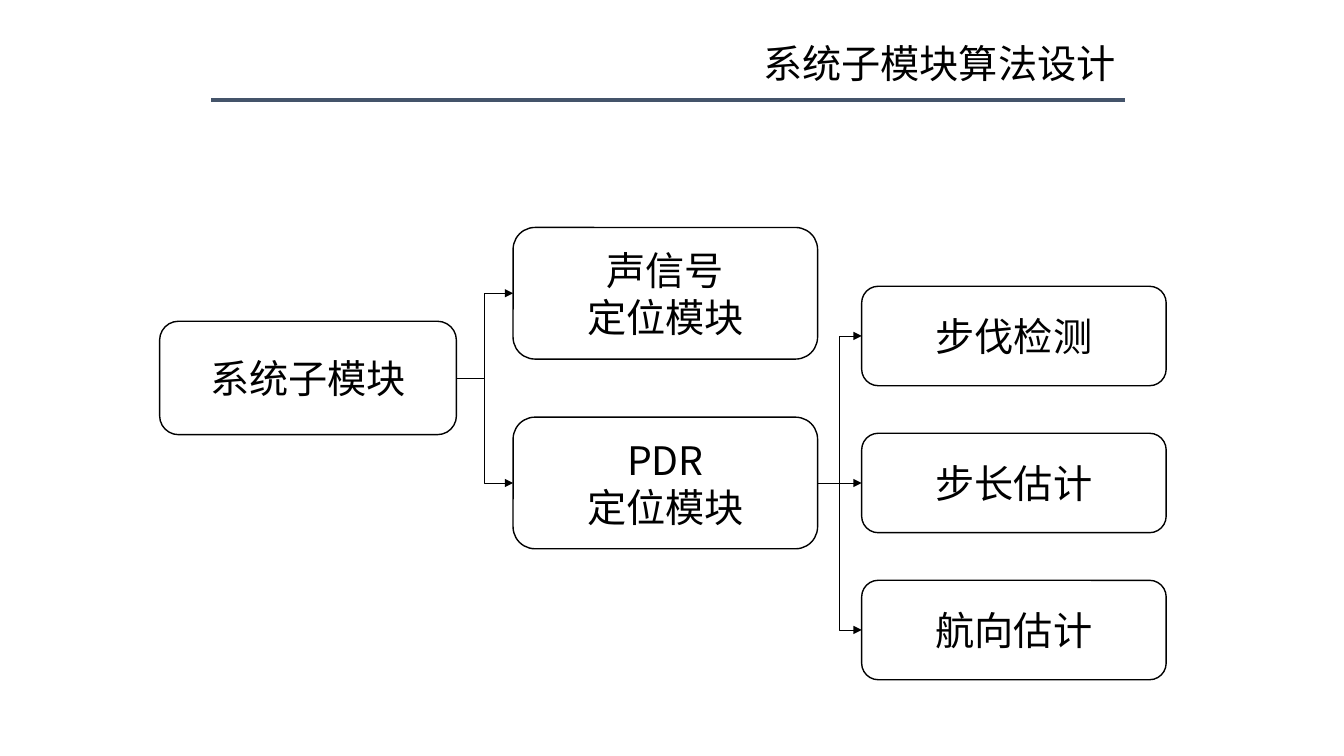
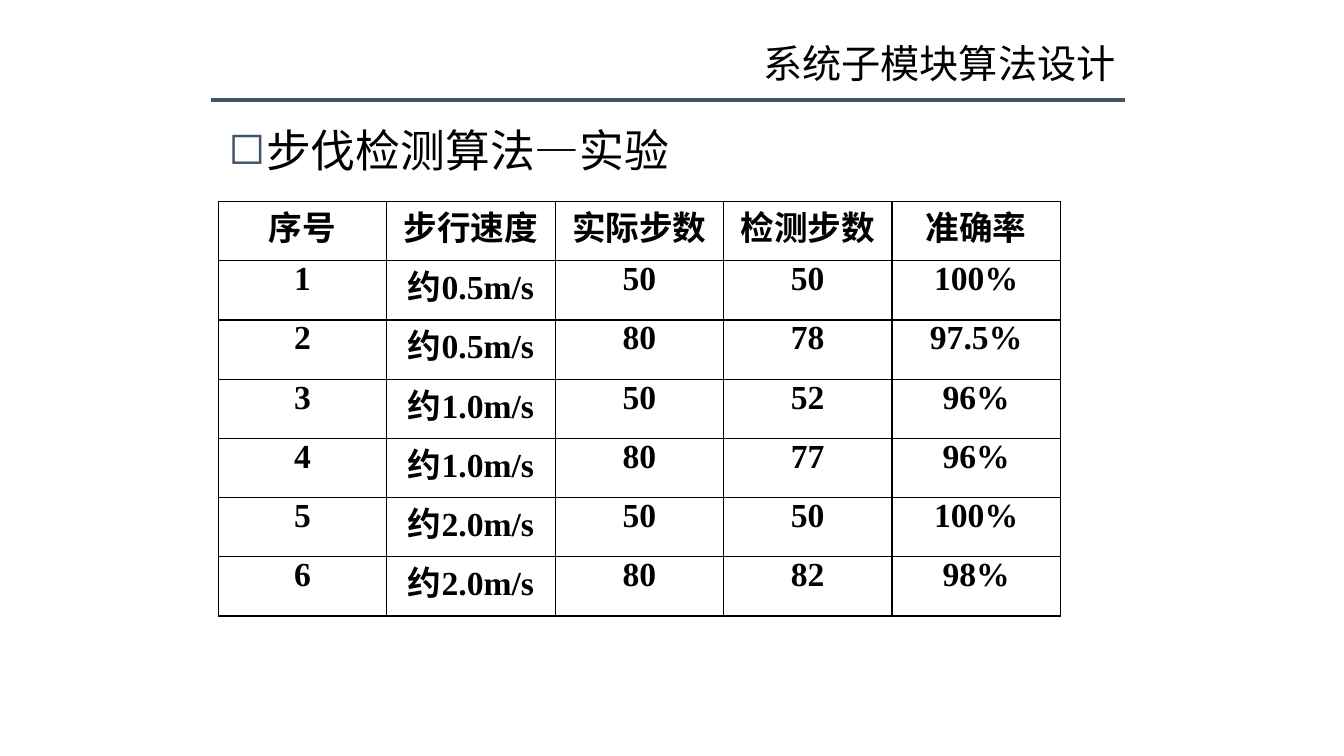
"""Build two slides on the design of the system's submodules."""
from lxml import etree
from pptx import Presentation
from pptx.dml.color import RGBColor
from pptx.enum import shapes, text
from pptx.oxml import ns
from pptx.util import Pt

BLACK = RGBColor(0x00, 0x00, 0x00)
WHITE = RGBColor(0xFF, 0xFF, 0xFF)
SLATE = RGBColor(0x44, 0x54, 0x6A)
SANS = "Noto Sans CJK SC"
SERIF = "Times New Roman"
TITLE = "系统子模块算法设计"
LEFT, RIGHT = 1, 3

RESULTS = [
    ("序号", "步行速度", "实际步数", "检测步数", "准确率"),
    ("1", "约0.5m/s", "50", "50", "100%"),
    ("2", "约0.5m/s", "80", "78", "97.5%"),
    ("3", "约1.0m/s", "50", "52", "96%"),
    ("4", "约1.0m/s", "80", "77", "96%"),
    ("5", "约2.0m/s", "50", "50", "100%"),
    ("6", "约2.0m/s", "80", "82", "98%"),
]


def add_child(parent, tag, **attributes):
    """Append a DrawingML element to parent and return it."""
    return etree.SubElement(parent, ns.qn(tag), attributes)


def write(frame, words, size=28, font=SANS, bold=False, align=text.PP_ALIGN.CENTER,
          anchor=text.MSO_ANCHOR.TOP, spacing=None, before=None, after=None):
    """Fill a text frame, one paragraph for each line of words."""
    frame.word_wrap = True
    frame.vertical_anchor = anchor
    for index, line in enumerate(words.split("\n")):
        paragraph = frame.add_paragraph() if index else frame.paragraphs[0]
        paragraph.alignment = align
        paragraph.line_spacing = spacing
        paragraph.space_before = before
        paragraph.space_after = after
        run = paragraph.add_run()
        run.text = line
        run.font.size = Pt(size)
        run.font.bold = bold
        run.font.name = font
        run.font.color.rgb = BLACK
        add_child(run._r.get_or_add_rPr(), "a:ea", typeface=SANS)


def add_line(slide, start, end, color, width, kind=shapes.MSO_CONNECTOR.STRAIGHT):
    """Draw a connector without shadow between two points."""
    line = slide.shapes.add_connector(kind, *map(Pt, start + end))
    line.line.color.rgb = color
    line.line.width = Pt(width)
    add_child(line.element.spPr, "a:effectLst")
    return line


def add_titled_slide(deck):
    """Add a slide with the shared title and the rule below it."""
    slide = deck.slides.add_slide(deck.slide_layouts[5])
    add_line(slide, (151, 71.5), (803.5, 71.5), SLATE, 3)
    title = slide.shapes.title
    title.left, title.top, title.width, title.height = map(Pt, (156, 21.5, 648, 44))
    title.text_frame.auto_size = text.MSO_AUTO_SIZE.NONE
    write(title.text_frame, TITLE, align=text.PP_ALIGN.RIGHT,
          anchor=text.MSO_ANCHOR.BOTTOM, spacing=0.9)
    return slide


def add_module(slide, name, left, middle, width, height):
    """Add a rounded module box centred on the height middle."""
    module = slide.shapes.add_shape(
        shapes.MSO_SHAPE.ROUNDED_RECTANGLE,
        *map(Pt, (left, middle - height / 2, width, height)))
    module.shadow.inherit = False
    module.fill.solid()
    module.fill.fore_color.rgb = WHITE
    module.line.color.rgb = BLACK
    module.line.width = Pt(1)
    write(module.text_frame, name, anchor=text.MSO_ANCHOR.MIDDLE)
    return module


def link(slide, parent, child):
    """Join a module to a submodule on its right with an arrow."""
    level = parent.top + parent.height // 2 == child.top + child.height // 2
    kind = shapes.MSO_CONNECTOR.STRAIGHT if level else shapes.MSO_CONNECTOR.ELBOW
    arrow = add_line(slide, (0, 0), (0, 0), BLACK, 0.5, kind)
    arrow.begin_connect(parent, RIGHT)
    arrow.end_connect(child, LEFT)
    add_child(arrow.element.spPr.find(ns.qn("a:ln")), "a:tailEnd", type="triangle")


def add_bullet(slide, words):
    """Add a heading marked with a hollow square."""
    box = slide.shapes.add_textbox(*map(Pt, (156, 88.5, 648, 48)))
    write(box.text_frame, words, size=32, align=text.PP_ALIGN.LEFT,
          spacing=0.9, before=Pt(10))
    properties = box.text_frame.paragraphs[0]._p.get_or_add_pPr()
    properties.set("marL", str(Pt(27)))
    properties.set("indent", str(-Pt(27)))
    add_child(add_child(properties, "a:buClr"), "a:srgbClr", val=str(SLATE))
    add_child(properties, "a:buChar", char="◻")


def format_cell(cell, words):
    """Write one bordered table cell."""
    cell.margin_left = cell.margin_right = Pt(5)
    cell.margin_top = cell.margin_bottom = 0
    write(cell.text_frame, words, size=24, font=SERIF, bold=True,
          before=Pt(6), after=Pt(6))
    properties = cell._tc.get_or_add_tcPr()
    for side in ("a:lnL", "a:lnR", "a:lnT", "a:lnB"):
        border = add_child(properties, side, w=str(Pt(1)))
        add_child(add_child(border, "a:solidFill"), "a:srgbClr", val=str(BLACK))
    cell.fill.background()


def add_results(slide, rows, left, top, column_width, row_height):
    """Add a plain grid table with equal columns and rows."""
    count = len(rows[0])
    table = slide.shapes.add_table(len(rows), count, *map(Pt, (
        left, top, column_width * count, row_height * len(rows)))).table
    table.first_row = table.horz_banding = False
    for column in table.columns:
        column.width = Pt(column_width)
    for row, values in zip(table.rows, rows):
        row.height = Pt(row_height)
        for cell, value in zip(row.cells, values):
            format_cell(cell, value)


def build_module_tree(deck):
    """Build the slide that breaks the system into submodules."""
    slide = add_titled_slide(deck)
    system = add_module(slide, "系统子模块", 114, 270, 212, 81)
    sound, pdr = [
        add_module(slide, name, 366.5, middle, 217.5, 94)
        for name, middle in (("声信号\n定位模块", 209.5), ("PDR\n定位模块", 345))]
    steps = [
        add_module(slide, name, 615.5, 240 + 105 * index, 217.5, 71)
        for index, name in enumerate(("步伐检测", "步长估计", "航向估计"))]
    for parent, children in ((system, (sound, pdr)), (pdr, steps)):
        for child in children:
            link(slide, parent, child)


def build_experiment(deck):
    """Build the slide with the step detection results."""
    slide = add_titled_slide(deck)
    add_bullet(slide, "步伐检测算法—实验")
    add_results(slide, RESULTS, 156, 144, 120.3, 42.3)


def main():
    """Build and save the deck."""
    deck = Presentation()
    deck.slide_width, deck.slide_height = Pt(960), Pt(540)
    build_module_tree(deck)
    build_experiment(deck)
    deck.save("out.pptx")


if __name__ == "__main__":
    main()
